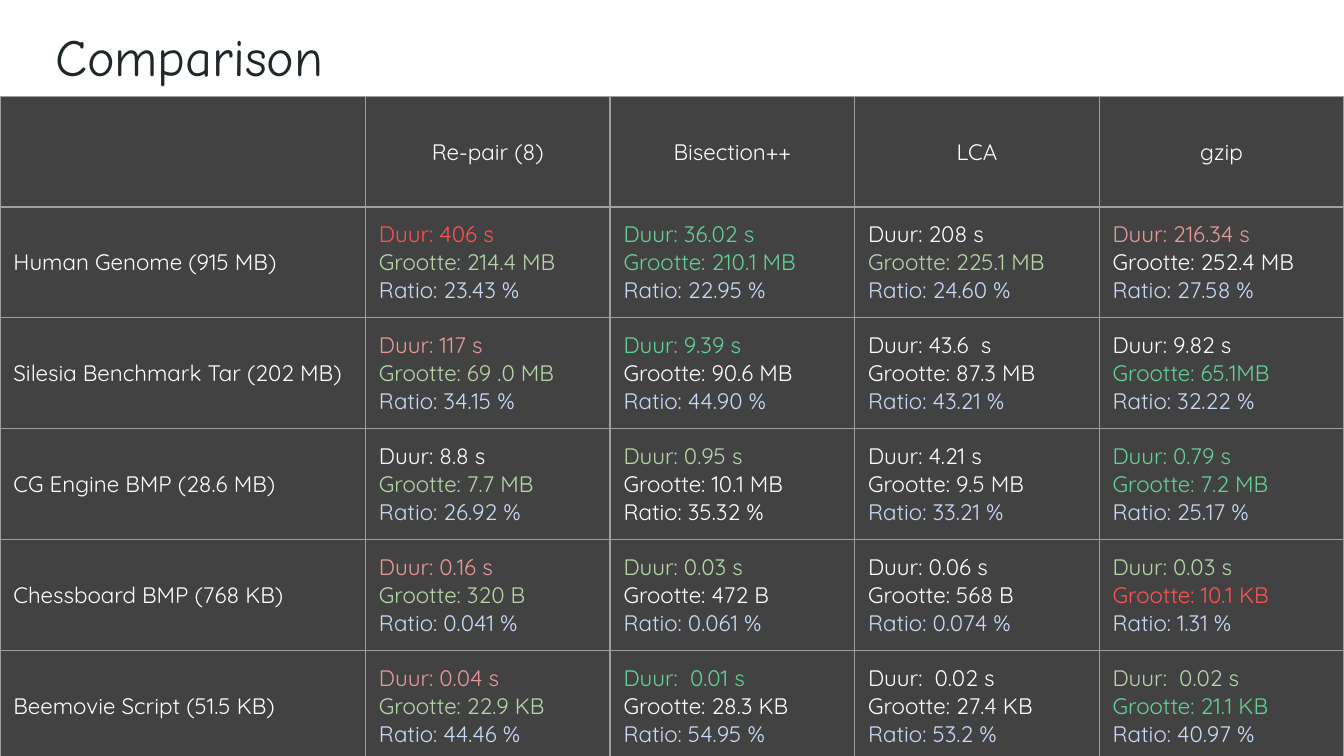
from lxml.etree import SubElement as Sub
from pptx import Presentation
from pptx.dml.color import RGBColor
from pptx.enum.text import MSO_ANCHOR as Anchor, PP_ALIGN as Align
from pptx.oxml.ns import qn
from pptx.util import Inches, Pt

WHITE = RGBColor(0xFF, 0xFF, 0xFF)
INK = RGBColor(0x20, 0x27, 0x29)
DARK = RGBColor(0x42, 0x42, 0x42)
GRID = RGBColor(0x9E, 0x9E, 0x9E)
RED = RGBColor(0xFF, 0x52, 0x52)
PINK = RGBColor(0xEA, 0x99, 0x99)
LIME = RGBColor(0xB6, 0xD7, 0xA8)
GREEN = RGBColor(0x63, 0xD2, 0x97)
BLUE = RGBColor(0xC9, 0xDA, 0xF8)

WIDE = Inches(10)
HIGH = WIDE * 9 // 16
PAD = Inches(0.1)
SHARES = [0.272] + [0.182] * 4
LABELS = ["Duur: ", "Grootte: ", "Ratio: "]
HEADS = ["", "Re-pair (8)", "Bisection++", "LCA", "gzip"]

ROWS = [
    ("Human Genome (915 MB)", [
        [("406 s", RED), ("214.4 MB", LIME), ("23.43 %", BLUE)],
        [("36.02 s", GREEN), ("210.1 MB", GREEN), ("22.95 %", BLUE)],
        [("208 s", WHITE), ("225.1 MB", LIME), ("24.60 %", BLUE)],
        [("216.34 s", PINK), ("252.4 MB", WHITE), ("27.58 %", BLUE)]]),
    ("Silesia Benchmark Tar (202 MB)", [
        [("117 s", PINK), ("69 .0 MB", LIME), ("34.15 %", BLUE)],
        [("9.39 s", GREEN), ("90.6 MB", WHITE), ("44.90 %", BLUE)],
        [("43.6  s", WHITE), ("87.3 MB", WHITE), ("43.21 %", BLUE)],
        [("9.82 s", WHITE), ("65.1MB", GREEN), ("32.22 %", BLUE)]]),
    ("CG Engine BMP (28.6 MB)", [
        [("8.8 s", WHITE), ("7.7 MB", LIME), ("26.92 %", BLUE)],
        [("0.95 s", LIME), ("10.1 MB", WHITE), ("35.32 %", WHITE)],
        [("4.21 s", WHITE), ("9.5 MB", WHITE), ("33.21 %", BLUE)],
        [("0.79 s", GREEN), ("7.2 MB", GREEN), ("25.17 %", BLUE)]]),
    ("Chessboard BMP (768 KB)", [
        [("0.16 s", PINK), ("320 B", LIME), ("0.041 %", BLUE)],
        [("0.03 s", LIME), ("472 B", WHITE), ("0.061 %", BLUE)],
        [("0.06 s", WHITE), ("568 B", WHITE), ("0.074 %", BLUE)],
        [("0.03 s", LIME), ("10.1 KB", RED), ("1.31 %", BLUE)]]),
    ("Beemovie Script (51.5 KB)", [
        [("0.04 s", PINK), ("22.9 KB", LIME), ("44.46 %", BLUE)],
        [(" 0.01 s", GREEN), ("28.3 KB", WHITE), ("54.95 %", BLUE)],
        [(" 0.02 s", WHITE), ("27.4 KB", WHITE), ("53.2 %", BLUE)],
        [(" 0.02 s", LIME), ("21.1 KB", GREEN), ("40.97 %", BLUE)]]),
]


def write(frame, lines, font="Quicksand", size=12, align=Align.LEFT):
    for i, (text, color) in enumerate(lines):
        para = frame.add_paragraph() if i else frame.paragraphs[0]
        para.alignment = align
        para.font.size = Pt(size)
        if not text:
            continue
        run = para.add_run()
        run.text = text
        run.font.name = font
        run.font.size = Pt(size)
        run.font.bold = False
        run.font.color.rgb = color


def pad(item):
    item.margin_left = item.margin_right = PAD
    item.margin_top = item.margin_bottom = PAD
    item.vertical_anchor = Anchor.MIDDLE


def edge(cell):
    props = cell._tc.get_or_add_tcPr()
    for side in ("lnL", "lnR", "lnT", "lnB"):
        line = Sub(props, qn("a:" + side), w=str(Pt(0.75)))
        fill = Sub(line, qn("a:solidFill"))
        Sub(fill, qn("a:srgbClr"), val=str(GRID))


def add_title(slide, box):
    title = slide.shapes.title
    title.left, title.top, title.width, title.height = box
    pad(title.text_frame)
    write(title.text_frame, [("Comparison", INK)], font="Comic Neue", size=28)


def add_grid(slide, box):
    left, top, width, height = box
    cells = [[[(head, WHITE)] for head in HEADS]]
    for name, stats in ROWS:
        cells.append([[(name, WHITE)]] + [
            [(label + value, color) for label, (value, color) in zip(LABELS, stat)]
            for stat in stats])
    table = slide.shapes.add_table(
        len(cells), len(HEADS), left, top, width, height).table
    table.first_row = table.horz_banding = False
    for col, share in zip(table.columns, SHARES):
        col.width = int(width * share)
    for r, row in enumerate(cells):
        for c, lines in enumerate(row):
            cell = table.cell(r, c)
            pad(cell)
            edge(cell)
            cell.fill.solid()
            cell.fill.fore_color.rgb = DARK
            write(cell.text_frame, lines, align=Align.LEFT if r else Align.CENTER)


def main():
    deck = Presentation()
    deck.slide_width, deck.slide_height = WIDE, HIGH
    slide = deck.slides.add_slide(deck.slide_layouts[5])
    slide.background.fill.solid()
    slide.background.fill.fore_color.rgb = WHITE
    add_title(slide, (Inches(0.31), Inches(0.1), Inches(2.74), Inches(0.63)))
    add_grid(slide, (0, Inches(0.72), WIDE, Inches(0.82) * (len(ROWS) + 1)))
    deck.save("out.pptx")


if __name__ == "__main__":
    main()
